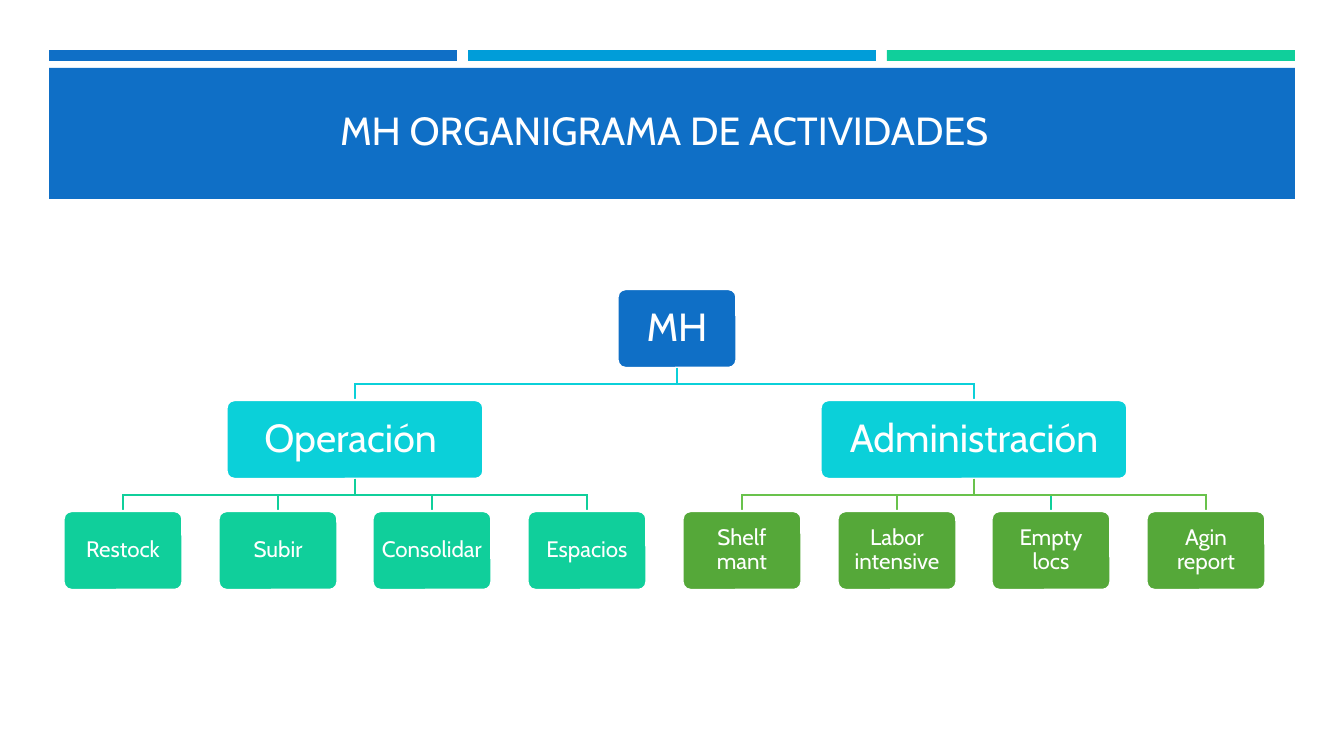
"""Build the MH activity organisation chart slide."""
from dataclasses import dataclass

from lxml.etree import SubElement
from pptx import Presentation
from pptx.dml.color import RGBColor
from pptx.enum.shapes import MSO_SHAPE as SHAPE
from pptx.enum.text import MSO_ANCHOR as ANCHOR, PP_ALIGN as ALIGN
from pptx.oxml.ns import qn
from pptx.shapes.autoshape import Shape
from pptx.slide import Slide
from pptx.text.text import TextFrame
from pptx.util import Emu, Pt

SLIDE_W, SLIDE_H = 1344, 756
SCALE = 12192000 / SLIDE_W
FONT = "Cabin"

WHITE = RGBColor(0xFF, 0xFF, 0xFF)
BLUE = RGBColor(0x0F, 0x6F, 0xC6)
SKY = RGBColor(0x00, 0x9D, 0xD9)
CYAN = RGBColor(0x0B, 0xD0, 0xD9)
MINT = RGBColor(0x10, 0xCF, 0x9B)
GREEN = RGBColor(0x55, 0xA8, 0x39)
LIME = RGBColor(0x69, 0xC2, 0x4C)

BAR_LEFT, BAR_PITCH = 49, 419
TREE_TOP, LEVEL_PITCH, NODE_H = 289, 111, 79
LEAF_W, LEAF_FIRST, LEAF_LAST, LEAF_COUNT = 117, 123, 1206, 8
LINE_W = 1.75


@dataclass(frozen=True)
class Node:
    """A box of the chart with the link that joins it to its parent."""

    text: str
    center: int
    fill: RGBColor
    link: RGBColor
    width: int = LEAF_W + 2
    link_w: float = LINE_W
    size: int = 28
    inset: int = 12
    children: tuple["Node", ...] = ()


def px(n: float) -> Emu:
    """Turn pixels into EMU."""
    return Emu(round(n * SCALE))


def leaf(index: int, text: str, fill: RGBColor, link: RGBColor, link_w: float = LINE_W) -> Node:
    """Place a bottom-row node on the evenly spaced row."""
    center = LEAF_FIRST + round(index * (LEAF_LAST - LEAF_FIRST) / (LEAF_COUNT - 1))
    return Node(text, center, fill, link, link_w=link_w, size=16, inset=7)


def add_box(s: Slide, kind: SHAPE, left: float, top: int, width: int, height: int,
            fill: RGBColor) -> Shape:
    """Add a filled shape without outline or shadow."""
    sp = s.shapes.add_shape(kind, px(left), px(top), px(width), px(height))
    sp.shadow.inherit = False
    sp.fill.solid()
    sp.fill.fore_color.rgb = fill
    sp.line.fill.background()
    return sp


def write(tf: TextFrame, text: str, size: int, anchor: ANCHOR) -> None:
    """Write one centred white paragraph."""
    tf.word_wrap = True
    tf.vertical_anchor = anchor
    p = tf.paragraphs[0]
    p.text = text
    p.alignment = ALIGN.CENTER
    p.line_spacing = 0.9
    p.font.name = FONT
    p.font.size = Pt(size)
    p.font.color.rgb = WHITE


def add_link(s: Slide, parent: Node, child: Node, top: int) -> None:
    """Draw the stepped line from a parent down to a child."""
    gap = LEVEL_PITCH - NODE_H
    middle = top + gap // 2
    builder = s.shapes.build_freeform(parent.center, top, scale=SCALE)
    builder.add_line_segments(
        [(parent.center, middle), (child.center, middle), (child.center, top + gap)], close=False)
    sp = builder.convert_to_shape()
    sp.shadow.inherit = False
    sp.fill.background()
    sp.line.color.rgb = child.link
    sp.line.width = Pt(child.link_w)
    SubElement(sp.line._get_or_add_ln(), qn("a:miter"), lim="800000")


def add_node(s: Slide, node: Node, level: int = 0) -> None:
    """Draw a node, then its links and children."""
    top = TREE_TOP + level * LEVEL_PITCH
    sp = add_box(s, SHAPE.ROUNDED_RECTANGLE, node.center - node.width / 2, top,
                 node.width, NODE_H, node.fill)
    sp.adjustments[0] = 0.1
    sp.line.color.rgb = WHITE
    sp.line.width = Pt(LINE_W)
    tf = sp.text_frame
    tf.margin_left = tf.margin_right = tf.margin_top = tf.margin_bottom = px(node.inset)
    write(tf, node.text, node.size, ANCHOR.MIDDLE)
    for child in node.children:
        add_link(s, node, child, top + NODE_H)
        add_node(s, child, level + 1)


def add_header(s: Slide) -> None:
    """Draw the three bars, the title band and the title."""
    for i, color in enumerate((BLUE, SKY, MINT)):
        add_box(s, SHAPE.RECTANGLE, BAR_LEFT + i * BAR_PITCH, 50, 408, 11, color)
    add_box(s, SHAPE.RECTANGLE, BAR_LEFT, 68, 1246, 131, BLUE)
    title = s.shapes.add_textbox(px(160), px(75), px(1008), px(84))
    write(title.text_frame, "MH ORGANIGRAMA DE ACTIVIDADES", 28, ANCHOR.BOTTOM)


OPERATION = Node("Operación ", 355, CYAN, CYAN, width=257, children=(
    leaf(0, "Restock", MINT, MINT),
    leaf(1, "Subir", MINT, MINT),
    leaf(2, "Consolidar", MINT, MINT),
    leaf(3, "Espacios", MINT, MINT),
))
ADMINISTRATION = Node("Administración", 974, CYAN, CYAN, width=307, children=(
    leaf(4, "Shelf mant", GREEN, LIME, 1),
    leaf(5, "Labor intensive", GREEN, LIME, 1),
    leaf(6, "Empty locs", GREEN, MINT),
    leaf(7, "Agin report", GREEN, LIME, 1),
))
ROOT = Node("MH", 677, BLUE, BLUE, children=(OPERATION, ADMINISTRATION))


def main() -> None:
    """Create and save the slide."""
    prs = Presentation()
    prs.slide_width, prs.slide_height = px(SLIDE_W), px(SLIDE_H)
    s = prs.slides.add_slide(prs.slide_layouts[6])
    add_header(s)
    add_node(s, ROOT)
    prs.save("out.pptx")


if __name__ == "__main__":
    main()
